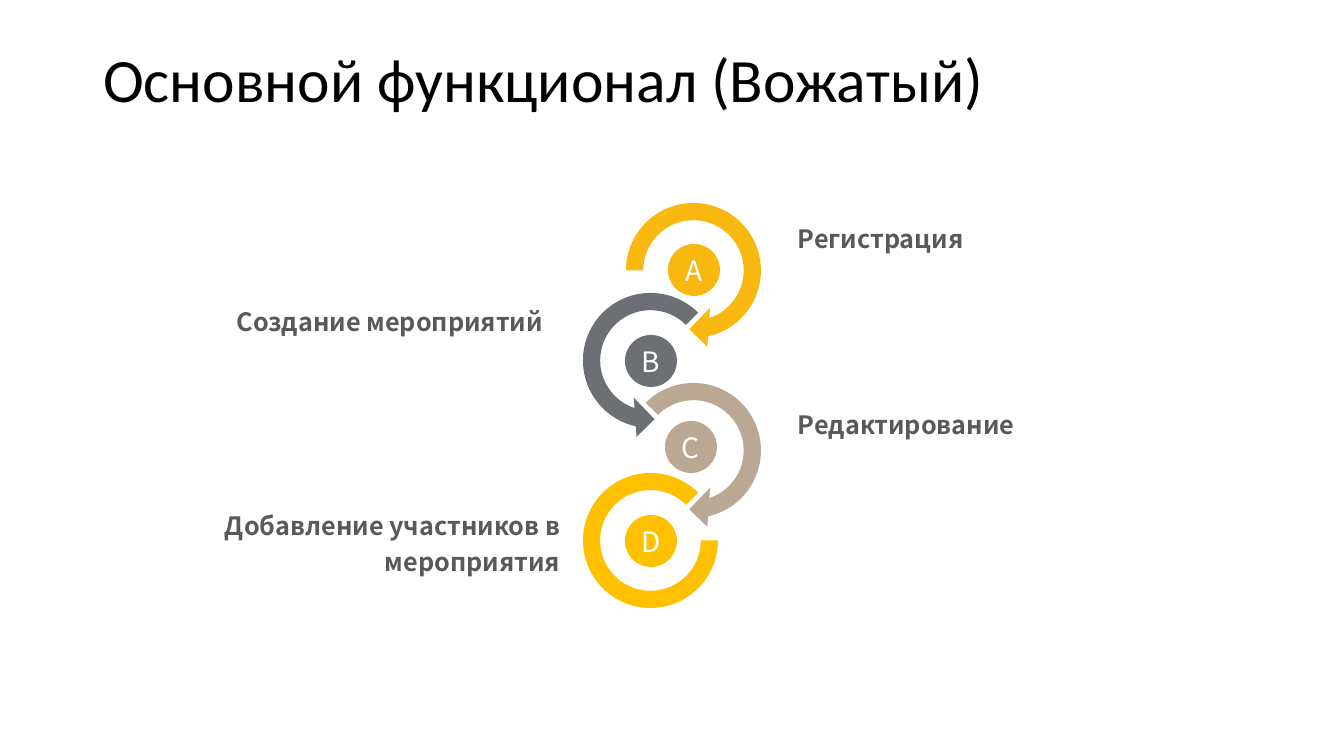
from pptx import Presentation
from pptx.dml.color import RGBColor
from pptx.enum.shapes import MSO_SHAPE
from pptx.enum.text import MSO_ANCHOR, MSO_AUTO_SIZE, PP_ALIGN
from pptx.util import Emu, Pt

AMBER = RGBColor(0xF9, 0xB8, 0x10)
SLATE = RGBColor(0x6C, 0x70, 0x74)
SAND = RGBColor(0xBB, 0xA8, 0x94)
GOLD = RGBColor(0xFF, 0xC0, 0x00)
GRAY = RGBColor(0x59, 0x59, 0x59)
BLACK = RGBColor(0, 0, 0)
WHITE = RGBColor(0xFF, 0xFF, 0xFF)

TITLE_FONT = "Calibri"
BODY_FONT = "Noto Sans CJK SC"

RIGHT_X, LEFT_X = 693, 650
FIRST_Y, STEP_Y = 270, 90
ARROW, ARC, BADGE = 157, 135, 52


def px(n):
    """Turn pixels (100.8 to the inch) into EMU."""
    return Emu(round(n * 914400 / 100.8))


def set_text(tf, text, font=BODY_FONT, size=18, color=GRAY, bold=False,
             align=PP_ALIGN.LEFT, anchor=MSO_ANCHOR.TOP, spacing=1.0):
    tf.word_wrap = True
    tf.vertical_anchor = anchor
    p = tf.paragraphs[0]
    p.alignment = align
    p.line_spacing = spacing
    r = p.add_run()
    r.text = text
    r.font.name = font
    r.font.size = Pt(size)
    r.font.bold = bold
    r.font.color.rgb = color


def add_title(s, text):
    sp = s.shapes.title
    sp.left, sp.top, sp.width, sp.height = map(px, (93, 40, 1159, 86))
    set_text(sp.text_frame, text, font=TITLE_FONT, size=44, color=BLACK,
             anchor=MSO_ANCHOR.MIDDLE, spacing=0.9)
    sp.text_frame.auto_size = MSO_AUTO_SIZE.NONE


def add_solid(s, kind, x, y, size, color, adjustments=()):
    sp = s.shapes.add_shape(kind, px(x), px(y), px(size), px(size))
    for i, value in enumerate(adjustments):
        sp.adjustments[i] = value
    sp.shadow.inherit = False
    sp.fill.solid()
    sp.fill.fore_color.rgb = color
    sp.line.fill.background()
    return sp


def add_ring(s, kind, cx, cy, size, color, adjustments):
    """Place a ring-like shape by its centre."""
    add_solid(s, kind, cx - size // 2, cy - size // 2, size, color, adjustments)


def add_badge(s, letter, x, y, color):
    tf = add_solid(s, MSO_SHAPE.OVAL, x, y, BADGE, color).text_frame
    tf.margin_left = tf.margin_right = tf.margin_top = tf.margin_bottom = 0
    set_text(tf, letter, size=20, color=WHITE, align=PP_ALIGN.CENTER,
             anchor=MSO_ANCHOR.MIDDLE)


def add_label(s, text, x, y, w, h, align):
    tf = s.shapes.add_textbox(px(x), px(y), px(w), px(h)).text_frame
    set_text(tf, text, bold=True, align=align, spacing=1.2)
    tf.auto_size = MSO_AUTO_SIZE.SHAPE_TO_FIT_TEXT


def arrow_adjustments(head_angle, tail_angle):
    return 0.11, 11.423, head_angle, tail_angle, 0.125


def main():
    prs = Presentation()
    prs.slide_width, prs.slide_height = px(1344), px(756)
    s = prs.slides.add_slide(prs.slide_layouts[5])
    add_title(s, "Основной функционал (Вожатый)")

    # letter, row, ring kind, centre x, size, colour, adjustments, badge corner
    steps = [
        ("C", 2, MSO_SHAPE.CIRCULAR_ARROW, RIGHT_X, ARROW, SAND,
         arrow_adjustments(45, 135), (665, 421)),
        ("D", 3, MSO_SHAPE.BLOCK_ARC, LEFT_X, ARC, GOLD,
         (0, 189, 0.127), (625, 515)),
        ("B", 1, MSO_SHAPE.LEFT_CIRCULAR_ARROW, LEFT_X, ARROW, SLATE,
         arrow_adjustments(63, 189), (625, 335)),
        ("A", 0, MSO_SHAPE.CIRCULAR_ARROW, RIGHT_X, ARROW, AMBER,
         arrow_adjustments(45, 108), (668, 244)),
    ]
    for letter, row, kind, cx, size, color, adjustments, corner in steps:
        add_ring(s, kind, cx, FIRST_Y + row * STEP_Y, size, color, adjustments)
        add_badge(s, letter, *corner, color)

    labels = [
        ("Регистрация", 788, 212, 247, 45, PP_ALIGN.JUSTIFY),
        ("Редактирование", 788, 398, 247, 45, PP_ALIGN.JUSTIFY),
        ("Создание мероприятий", 224, 295, 329, 46, PP_ALIGN.RIGHT),
        ("Добавление участников в мероприятия", 180, 499, 390, 84,
         PP_ALIGN.RIGHT),
    ]
    for label in labels:
        add_label(s, *label)

    prs.save("out.pptx")


if __name__ == "__main__":
    main()
